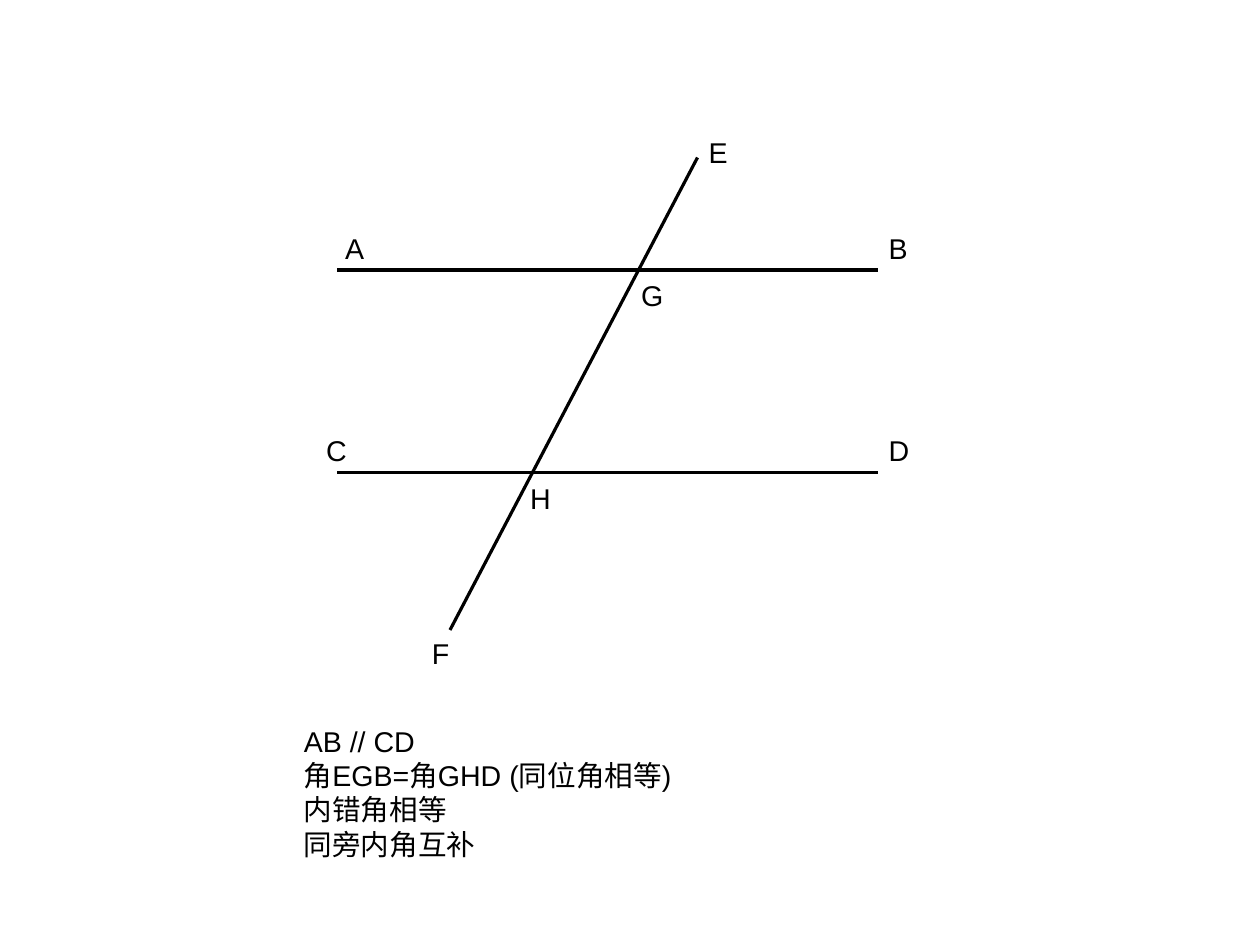
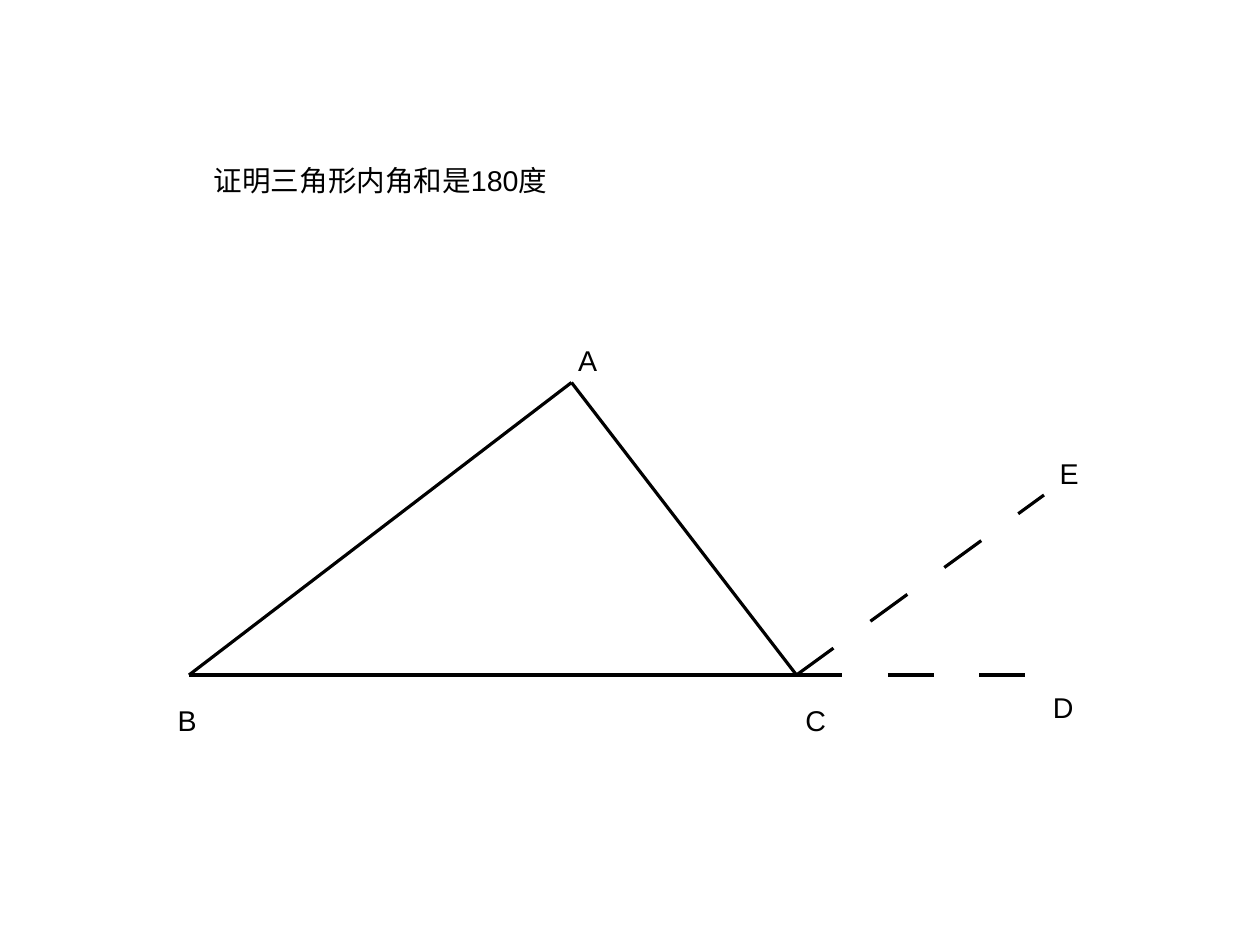
from lxml import etree
from pptx import Presentation
from pptx import util as u
from pptx.dml import color
from pptx.enum import shapes, text
from pptx.oxml import ns

INK = "000000"
LABEL_SIZE = (0.95, 0.97)
FONT = {"name": "Arial", "size": u.Pt(18), "bold": False}
FRAME = {
    "margin_left": u.Cm(0.25),
    "margin_right": u.Cm(0.25),
    "margin_top": u.Cm(0.13),
    "margin_bottom": u.Cm(0.13),
    "vertical_anchor": text.MSO_ANCHOR.TOP,
    "auto_size": text.MSO_AUTO_SIZE.NONE,
}
PARAGRAPH = {
    "alignment": text.PP_ALIGN.LEFT,
    "space_before": u.Pt(0),
    "space_after": u.Pt(0),
    "line_spacing": 1.0,
}

PARALLEL_POINTS = {
    "A": (7.5, 6), "B": (19.5, 6),
    "C": (7.5, 10.5), "D": (19.5, 10.5),
    "E": (15.5, 3.5), "F": (10, 14),
}
PARALLEL_LABELS = {
    "A": (7.42, 5), "B": (19.5, 5),
    "C": (7, 9.5), "D": (19.5, 9.5),
    "E": (15.5, 2.88), "F": (9.35, 14),
    "G": (14, 6.05), "H": (11.53, 10.55),
}
THEOREMS = ["AB // CD", "角EGB=角GHD (同位角相等)", "内错角相等", "同旁内角互补"]

TRIANGLE_POINTS = {
    "A": (12.7, 8.5), "B": (4.2, 15), "C": (17.7, 15),
    "D": (23.2, 15), "E": (23.2, 11),
}
TRIANGLE_LABELS = {
    "A": (12.6, 7.5), "B": (3.7, 15.5), "C": (17.65, 15.5),
    "D": (23.15, 15.2), "E": (23.3, 10),
}


def rgb(value):
    """Return the colour for a hex string."""
    return color.RGBColor.from_string(value)


def apply_format(target, values):
    """Set every attribute in a dict of format values."""
    for name, value in values.items():
        setattr(target, name, value)


def write_text(shape, lines, wrap=True):
    """Fill a shape with plain, left-aligned paragraphs."""
    frame = shape.text_frame
    frame.text = "\n".join(lines)
    apply_format(frame, {**FRAME, "word_wrap": wrap})
    for paragraph in frame.paragraphs:
        apply_format(paragraph, PARAGRAPH)
        properties = paragraph._p.get_or_add_pPr()
        apply_format(properties, {"marL": 0, "indent": 0})
        properties.set("marL", "0")
        properties.set("indent", "0")
        etree.SubElement(properties, ns.qn("a:buNone"))
        apply_format(paragraph.font, FONT)
        paragraph.font.color.rgb = rgb(INK)


def fill_placeholder(shape, left, top, width, height, lines):
    """Move a placeholder and write its text."""
    apply_format(shape, {"left": u.Cm(left), "top": u.Cm(top),
                         "width": u.Cm(width), "height": u.Cm(height)})
    write_text(shape, lines)


def add_labels(slide, labels):
    """Name the points of a figure."""
    for name, (left, top) in labels.items():
        box = slide.shapes.add_textbox(u.Cm(left), u.Cm(top), *map(u.Cm, LABEL_SIZE))
        write_text(box, [name], wrap=False)


def add_segments(slide, points, segments, dashed=False):
    """Draw hairlines between pairs of named points."""
    for start, end in segments:
        ends = [u.Cm(value) for value in points[start] + points[end]]
        line = slide.shapes.add_connector(shapes.MSO_CONNECTOR.STRAIGHT, *ends)
        line.line.color.rgb = rgb(INK)
        line.line.width = u.Pt(0)
        if dashed:
            pattern = etree.SubElement(line.line._get_or_add_ln(), ns.qn("a:custDash"))
            etree.SubElement(pattern, ns.qn("a:ds"), d="1430000", sp="1430000")
        etree.SubElement(line._element.spPr, ns.qn("a:effectLst"))


def build_parallel_lines(presentation):
    """Build the slide on angles between parallel lines."""
    slide = presentation.slides.add_slide(presentation.slide_layouts[1])
    title = slide.shapes.title._element
    title.getparent().remove(title)
    add_segments(slide, PARALLEL_POINTS, ["AB", "CD", "EF"])
    add_labels(slide, PARALLEL_LABELS)
    fill_placeholder(slide.placeholders[1], 6.5, 15.95, 12.5, 3.7, THEOREMS)


def build_triangle(presentation):
    """Build the slide on the angle sum of a triangle."""
    slide = presentation.slides.add_slide(presentation.slide_layouts[5])
    fill_placeholder(slide.shapes.title, 4.5, 3.5, 9, 1.17, ["证明三角形内角和是180度"])
    add_segments(slide, TRIANGLE_POINTS, ["BC", "BA", "AC"])
    add_segments(slide, TRIANGLE_POINTS, ["CD", "CE"], dashed=True)
    add_labels(slide, TRIANGLE_LABELS)


def main():
    """Build and save the presentation."""
    presentation = Presentation()
    apply_format(presentation, {"slide_width": u.Cm(28), "slide_height": u.Cm(21)})
    build_parallel_lines(presentation)
    build_triangle(presentation)
    presentation.save("out.pptx")


if __name__ == "__main__":
    main()
